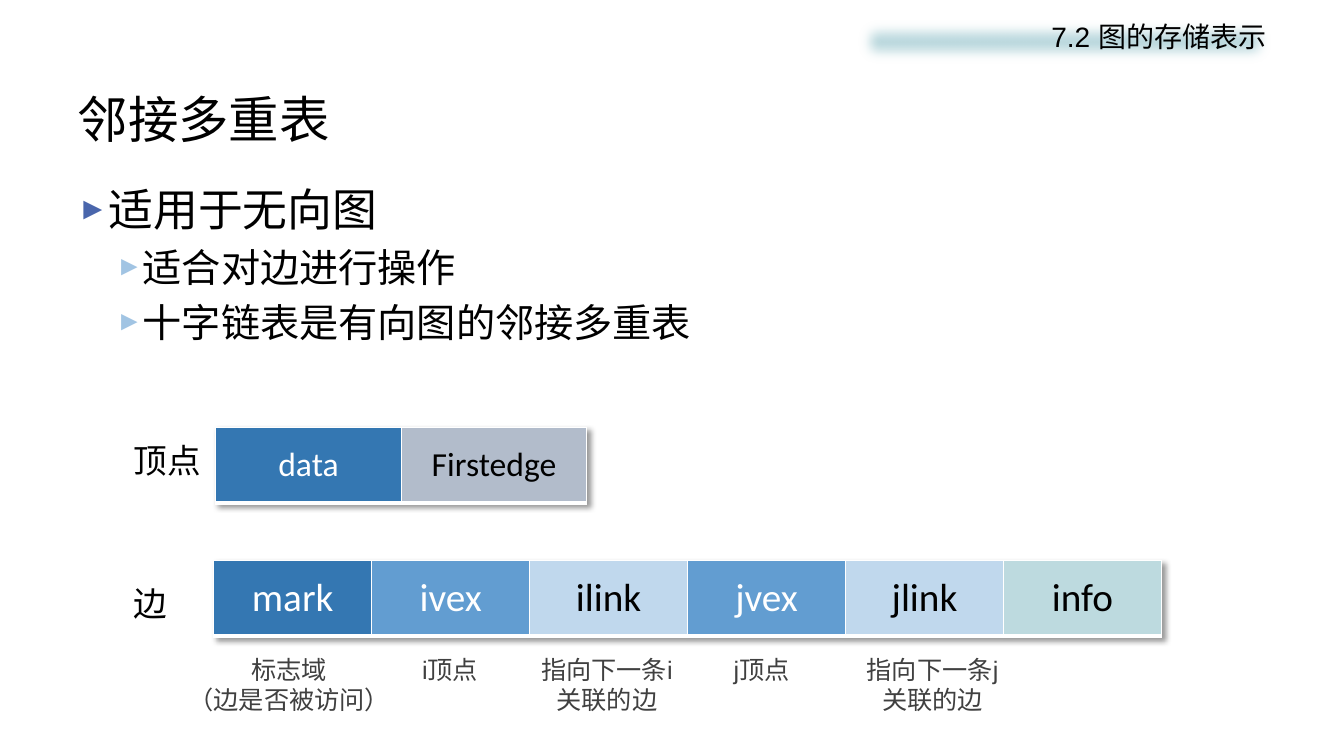
from lxml.etree import SubElement
from pptx import Presentation
from pptx.dml.color import RGBColor
from pptx.enum.shapes import MSO_SHAPE
from pptx.enum.text import MSO_ANCHOR, PP_ALIGN
from pptx.oxml import parse_xml
from pptx.oxml.ns import nsdecls, qn
from pptx.util import Inches, Pt

BLACK = RGBColor(0x00, 0x00, 0x00)
WHITE = RGBColor(0xFF, 0xFF, 0xFF)
GRAY = RGBColor(0x40, 0x40, 0x40)
DARK_BLUE = RGBColor(0x34, 0x77, 0xB2)
MID_BLUE = RGBColor(0x62, 0x9D, 0xD1)
PALE_BLUE = RGBColor(0xC0, 0xD8, 0xED)
SLATE = RGBColor(0xB2, 0xBC, 0xCB)
TEAL = RGBColor(0xBD, 0xDA, 0xDF)
BULLET_BLUE = RGBColor(0x4A, 0x66, 0xAC)
BULLET_PALE = RGBColor(0xA1, 0xC4, 0xE3)
CHINESE_FONT = "Noto Sans CJK SC"


def format_paragraph(paragraph, size, color, font=CHINESE_FONT, align=PP_ALIGN.LEFT):
    paragraph.alignment = align
    paragraph.line_spacing = Pt(round(size * 1.2, 1))
    for run in paragraph.runs:
        run.font.name = font
        run.font.size = Pt(size)
        run.font.color.rgb = color
        SubElement(run.font._element, qn("a:ea"), typeface=CHINESE_FONT)


def add_bullet(paragraph, color, left, hanging):
    properties = paragraph._p.get_or_add_pPr()
    properties.set("marL", str(Inches(left)))
    properties.set("indent", str(-Inches(hanging)))
    bullet_color = SubElement(properties, qn("a:buClr"))
    SubElement(bullet_color, qn("a:srgbClr"), val=str(color))
    SubElement(properties, qn("a:buSzPct"), val="70000")
    SubElement(properties, qn("a:buFont"), typeface="Arial")
    SubElement(properties, qn("a:buChar"), char="►")


def add_title(slide, left, top, width, height):
    title = slide.shapes.title
    title.left, title.top = Inches(left), Inches(top)
    title.width, title.height = Inches(width), Inches(height)
    title.text_frame.text = "邻接多重表"
    title.text_frame.vertical_anchor = MSO_ANCHOR.MIDDLE
    format_paragraph(title.text_frame.paragraphs[0], 36, BLACK)


def add_section_header(slide, left, top, width, height):
    header = slide.shapes.add_shape(
        MSO_SHAPE.RECTANGLE, Inches(left), Inches(top), Inches(width), Inches(height))
    header.fill.solid()
    header.fill.fore_color.rgb = TEAL
    header.line.fill.background()
    header.shadow.inherit = False
    effects = header._element.spPr.find(qn("a:effectLst"))
    SubElement(effects, qn("a:softEdge"), rad=str(Inches(0.14)))
    header.text_frame.text = "7.2 图的存储表示"
    header.text_frame.vertical_anchor = MSO_ANCHOR.TOP
    format_paragraph(header.text_frame.paragraphs[0], 20, BLACK, "Arial", PP_ALIGN.RIGHT)


def add_text(slide, left, top, width, height, text, wrap=False):
    box = slide.shapes.add_textbox(Inches(left), Inches(top), Inches(width), Inches(height))
    box.text_frame.word_wrap = wrap
    box.text_frame.text = text
    return box.text_frame.paragraphs


def add_outline(slide, left, top, width, height):
    text = "适用于无向图\n适合对边进行操作\n十字链表是有向图的邻接多重表"
    paragraphs = add_text(slide, left, top, width, height, text, True)
    add_bullet(paragraphs[0], BULLET_BLUE, 0.28, 0.28)
    format_paragraph(paragraphs[0], 32, BLACK)
    for paragraph in paragraphs[1:]:
        paragraph.level = 1
        add_bullet(paragraph, BULLET_PALE, 0.61, 0.23)
        format_paragraph(paragraph, 28, BLACK)
        paragraph.space_before = Pt(5.6)


def add_borders(cell):
    properties = cell._tc.get_or_add_tcPr()
    sides = (("lnL", 1), ("lnR", 1), ("lnT", 1), ("lnB", 3))
    for position, (side, points) in enumerate(sides):
        properties.insert(position, parse_xml(
            f'<a:{side} {nsdecls("a")} w="{Pt(points)}"><a:solidFill>'
            f'<a:srgbClr val="{WHITE}"/></a:solidFill></a:{side}>'))


def add_node_table(slide, left, top, width, height, size, fields):
    frame = slide.shapes.add_table(
        1, len(fields), Inches(left), Inches(top), Inches(width), Inches(height))
    table = frame.table
    table.first_row = False
    table.horz_banding = False
    table._tbl.tblPr.insert(0, parse_xml(
        f'<a:effectLst {nsdecls("a")}><a:outerShdw blurRad="50800" dist="38100" '
        'dir="2700000" algn="tl" rotWithShape="0"><a:srgbClr val="000000">'
        '<a:alpha val="40000"/></a:srgbClr></a:outerShdw></a:effectLst>'))
    for cell, (name, fill, color) in zip(table.rows[0].cells, fields):
        cell.text_frame.text = name
        cell.vertical_anchor = MSO_ANCHOR.MIDDLE
        cell.fill.solid()
        cell.fill.fore_color.rgb = fill
        add_borders(cell)
        paragraph = cell.text_frame.paragraphs[0]
        paragraph.alignment = PP_ALIGN.CENTER
        paragraph.font.name = "Calibri"
        for run in paragraph.runs:
            run.font.name = "Calibri"
            run.font.size = Pt(size)
            run.font.color.rgb = color


def add_vertex_row(slide, left, top):
    label = add_text(slide, left, top + 0.08, 0.88, 0.5, "顶点")
    format_paragraph(label[0], 24, BLACK)
    fields = [("data", DARK_BLUE, WHITE), ("Firstedge", SLATE, BLACK)]
    add_node_table(slide, left + 0.91, top, 3.68, 0.75, 24, fields)


def add_edge_row(slide, left, top):
    label = add_text(slide, left, top + 0.17, 0.54, 0.5, "边")
    format_paragraph(label[0], 24, BLACK)
    fields = [
        ("mark", DARK_BLUE, WHITE),
        ("ivex", MID_BLUE, WHITE),
        ("ilink", PALE_BLUE, BLACK),
        ("jvex", MID_BLUE, WHITE),
        ("jlink", PALE_BLUE, BLACK),
        ("info", TEAL, BLACK),
    ]
    add_node_table(slide, left + 0.89, top, 9.4, 0.75, 28, fields)
    notes = [
        (0.53, 2.22, 0.71, "标志域\n（边是否被访问）", False),
        (2.82, 0.83, 0.4, "i顶点", False),
        (5.91, 0.83, 0.4, "j顶点", False),
        (3.99, 1.6, 0.71, "指向下一条i关联的边", True),
        (7.22, 1.6, 0.71, "指向下一条j关联的边", True),
    ]
    for offset, width, height, text, wrap in notes:
        for paragraph in add_text(slide, left + offset, top + 0.88, width, height, text, wrap):
            format_paragraph(paragraph, 18, GRAY, "Arial", PP_ALIGN.CENTER)


def main():
    presentation = Presentation()
    presentation.slide_width = Inches(13.33)
    presentation.slide_height = Inches(7.5)
    slide = presentation.slides.add_slide(presentation.slide_layouts[5])
    add_title(slide, 0.67, 0.8, 12, 0.75)
    add_outline(slide, 0.67, 1.75, 6.47, 2)
    add_section_header(slide, 8.46, 0.14, 4.2, 0.54)
    add_edge_row(slide, 1.23, 5.56)
    add_vertex_row(slide, 1.23, 4.24)
    presentation.save("out.pptx")


if __name__ == "__main__":
    main()
